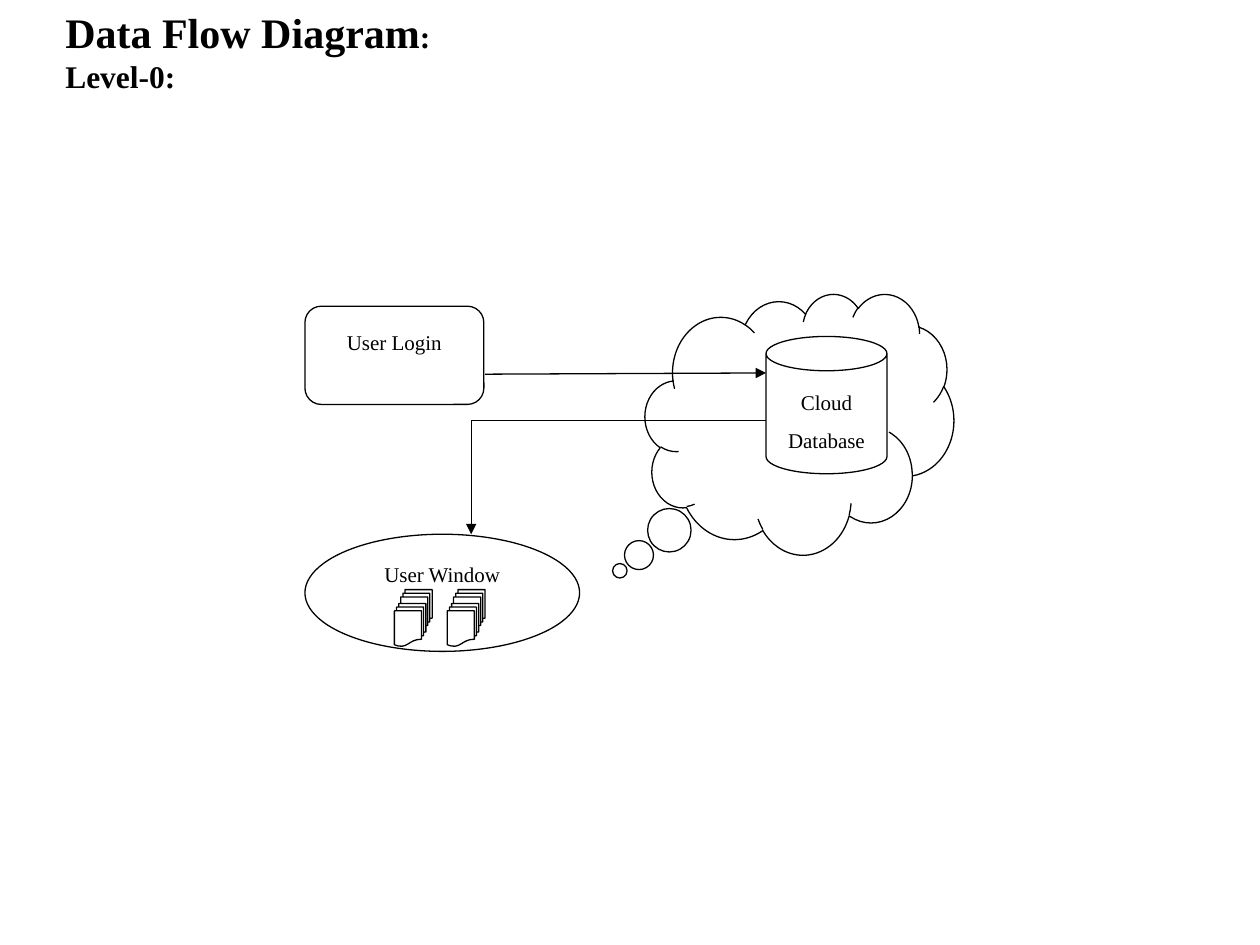
from lxml import etree
from pptx import Presentation
from pptx.dml.color import RGBColor
from pptx.enum.shapes import MSO_CONNECTOR, MSO_SHAPE
from pptx.enum.text import MSO_ANCHOR, PP_ALIGN
from pptx.oxml.ns import qn
from pptx.util import Inches, Pt

BLACK = RGBColor(0x00, 0x00, 0x00)
WHITE = RGBColor(0xFF, 0xFF, 0xFF)
FONT = "Times New Roman"
LINE_WIDTH = Pt(0.75)

CLOUD = MSO_SHAPE.CLOUD_CALLOUT
CAN = MSO_SHAPE.CAN
ROUNDED = MSO_SHAPE.ROUNDED_RECTANGLE
OVAL = MSO_SHAPE.OVAL
DOCUMENTS = MSO_SHAPE.FLOWCHART_MULTIDOCUMENT
STRAIGHT = MSO_CONNECTOR.STRAIGHT
TOP = MSO_ANCHOR.TOP
CENTER = PP_ALIGN.CENTER


def style_font(font, size, bold=False):
    font.name = FONT
    font.size = Pt(size)
    font.bold = bold
    font.color.rgb = BLACK


def add_node(s, kind, x, y, w, h, text="", spacing=1.5, adjustments=()):
    sp = s.shapes.add_shape(kind, Inches(x), Inches(y), Inches(w), Inches(h))
    sp.shadow.inherit = False
    sp.fill.solid()
    sp.fill.fore_color.rgb = WHITE
    sp.line.color.rgb = BLACK
    sp.line.width = LINE_WIDTH
    for i, value in enumerate(adjustments):
        sp.adjustments[i] = value
    if text:
        tf = sp.text_frame
        tf.word_wrap = True
        tf.vertical_anchor = TOP
        p = tf.paragraphs[0]
        p.text = text
        p.alignment = CENTER
        p.line_spacing = spacing
        p.space_after = Pt(10)
        style_font(p.font, 12)
    return sp


def add_flow(s, x1, y1, x2, y2, arrow=True):
    line = s.shapes.add_connector(
        STRAIGHT, Inches(x1), Inches(y1), Inches(x2), Inches(y2))
    line.line.color.rgb = BLACK
    line.line.width = LINE_WIDTH
    if arrow:
        ln = line.line._get_or_add_ln()
        etree.SubElement(ln, qn("a:tailEnd"), type="triangle")
    etree.SubElement(line._element.spPr, qn("a:effectLst"))


def add_heading(s, x, y, w, h):
    sp = s.shapes.add_textbox(Inches(x), Inches(y), Inches(w), Inches(h))
    tf = sp.text_frame
    tf.word_wrap = True
    tf.vertical_anchor = TOP
    # Title with a smaller colon
    p = tf.paragraphs[0]
    for text, size in (("Data Flow Diagram", 24), (":", 18)):
        r = p.add_run()
        r.text = text
        style_font(r.font, size, bold=True)
    # Level
    p = tf.add_paragraph()
    p.text = "Level-0:"
    style_font(p.font, 18, bold=True)


def add_diagram(s, x, y, w, h):
    right, bottom = x + w, y + h
    can_x, can_y = x + 3.66, y + 0.34
    turn_x, return_y = x + 1.32, y + 1.01
    window_w, window_h = 2.18, 0.93
    window_y = bottom - window_h

    # Cloud, database and login
    add_node(s, CLOUD, right - 2.45, y, 2.45, 2.07,
             adjustments=(-0.582, 0.563))
    add_node(s, CAN, can_x, can_y, 0.96, 1.09, "Cloud Database",
             adjustments=(0.284,))
    add_node(s, ROUNDED, x, y + 0.1, 1.42, 0.78, "User Login")

    # Request to the database, and the way back to the window
    add_flow(s, x + 1.43, y + 0.64, can_x, y + 0.63)
    add_flow(s, can_x, return_y, turn_x, return_y, arrow=False)
    add_flow(s, turn_x, return_y, turn_x, window_y)

    # User window with two piles of documents
    add_node(s, OVAL, x, window_y, window_w, window_h, "User Window", 1.15)
    for pile_x in (x + 1.13, x + 0.71):
        for dx, dy in ((0.05, 0), (0, 0.11)):
            add_node(s, DOCUMENTS, pile_x + dx, window_y + 0.44 + dy,
                     0.25, 0.34)


def main():
    prs = Presentation()
    prs.slide_width = Inches(10)
    prs.slide_height = Inches(7.5)
    s = prs.slides.add_slide(prs.slide_layouts[6])
    add_heading(s, 0.42, 0, 3.33, 1.11)
    add_diagram(s, 2.42, 2.33, 5.15, 2.84)
    prs.save("out.pptx")


if __name__ == "__main__":
    main()
